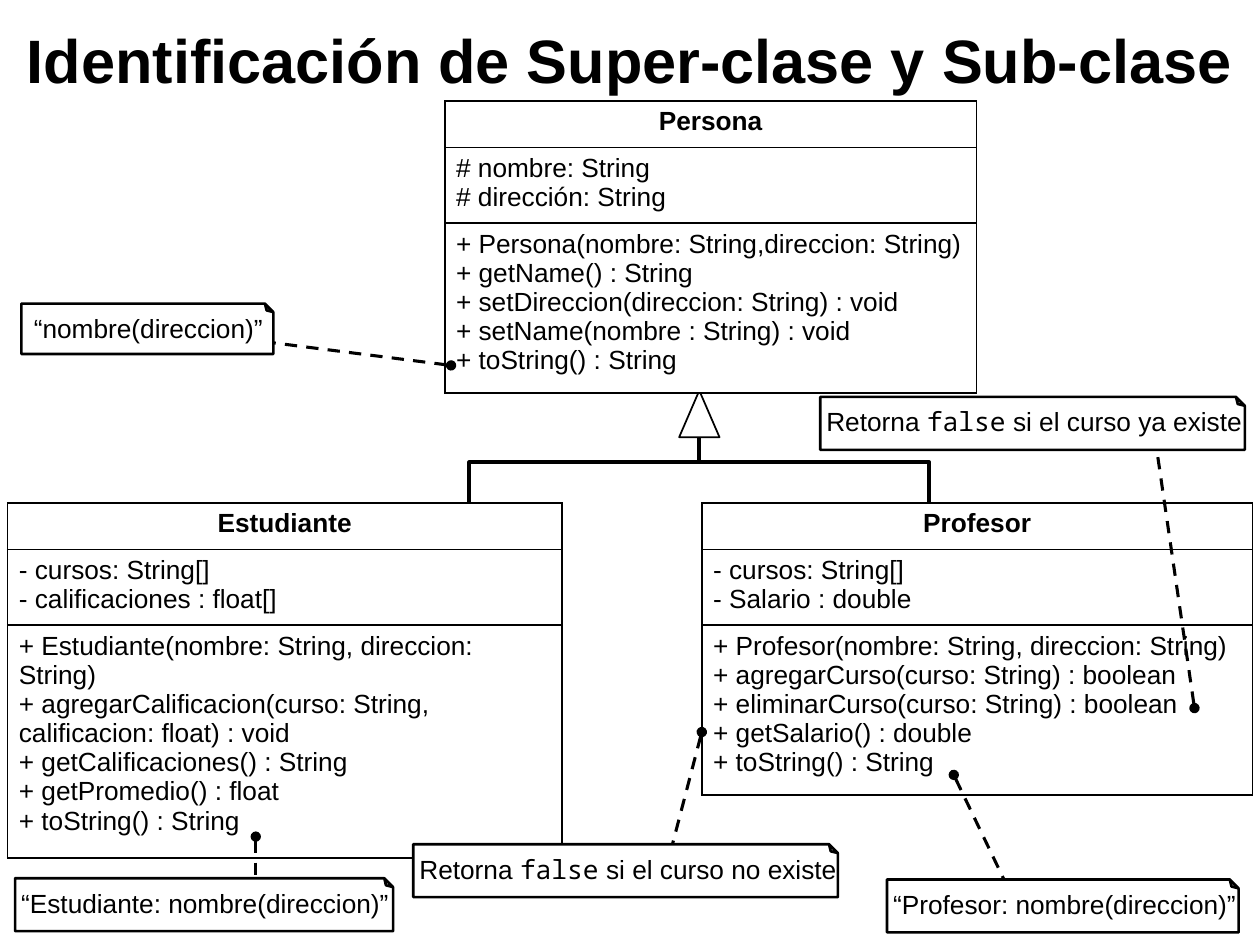
from lxml import etree
from pptx import Presentation
from pptx import util as u
from pptx.dml import color
from pptx.enum import dml, shapes, text
from pptx.oxml import ns

COLORS = {"ink": "000000", "paper": "FFFFFF"}
SANS, MONO = "Arial", "Noto Sans Mono"
NAME_HEIGHT, FIELDS_HEIGHT = 0.37, 0.57


def rgb(name):
    return color.RGBColor.from_string(COLORS[name])


def inches(*values):
    return [u.Inches(value) for value in values]


def add_para(frame, spans, first, size=15, bold=False, align=text.PP_ALIGN.LEFT, spacing=None):
    para = frame.paragraphs[0] if first else frame.add_paragraph()
    para.alignment = align
    if spacing:
        para.line_spacing = spacing
    for words, face in spans:
        span = para.add_run()
        span.text = words
        span.font.name = face
        span.font.size = u.Pt(size)
        span.font.bold = bold
        span.font.color.rgb = rgb("ink")


def add_label(page, box, spans, anchor=text.MSO_ANCHOR.TOP, **style):
    label = page.shapes.add_textbox(*inches(*box))
    frame = label.text_frame
    frame.word_wrap = True
    frame.vertical_anchor = anchor
    add_para(frame, spans, True, **style)


def style_line(line, width):
    line.color.rgb = rgb("ink")
    line.width = u.Pt(width)


def add_outline(page, kind, box, width):
    shape = page.shapes.add_shape(kind, *inches(*box))
    shape.shadow.inherit = False
    shape.fill.solid()
    shape.fill.fore_color.rgb = rgb("paper")
    style_line(shape.line, width)
    return shape


def add_link(page, start, end, kind=shapes.MSO_CONNECTOR.STRAIGHT, width=2.25):
    link = page.shapes.add_connector(kind, *inches(*start, *end))
    style_line(link.line, width)
    etree.SubElement(link._element.spPr, ns.qn("a:effectLst"))
    return link


def add_note_link(page, start, end):
    link = add_link(page, start, end, width=1.75)
    link.line.dash_style = dml.MSO_LINE.DASH
    etree.SubElement(link.line._get_or_add_ln(), ns.qn("a:headEnd"), type="oval")


def add_borders(cell):
    props = cell._tc.get_or_add_tcPr()
    for side in ("lnL", "lnR", "lnT", "lnB"):
        border = etree.SubElement(props, ns.qn(f"a:{side}"), w=str(u.Pt(1)))
        fill = etree.SubElement(border, ns.qn("a:solidFill"))
        etree.SubElement(fill, ns.qn("a:srgbClr"), val=COLORS["ink"])


def add_class(page, box, name, fields, methods):
    table = page.shapes.add_table(3, 1, *inches(*box)).table
    table.first_row = False
    table.horz_banding = False
    heights = (NAME_HEIGHT, FIELDS_HEIGHT, box[3] - NAME_HEIGHT - FIELDS_HEIGHT)
    for index, lines in enumerate(([name], fields, methods)):
        table.rows[index].height = u.Inches(heights[index])
        cell = table.cell(index, 0)
        cell.margin_left = cell.margin_right = u.Inches(0.09)
        cell.margin_top = cell.margin_bottom = u.Inches(0.05)
        add_borders(cell)
        cell.fill.solid()
        cell.fill.fore_color.rgb = rgb("paper")
        heading = index == 0
        align = text.PP_ALIGN.CENTER if heading else text.PP_ALIGN.LEFT
        for number, line in enumerate(lines):
            add_para(cell.text_frame, [(line, SANS)], number == 0, bold=heading, align=align)


def add_note(page, box, spans, shift=-0.05):
    left, top, width, height = box
    note = add_outline(page, shapes.MSO_SHAPE.FOLDED_CORNER, box, 1.5)
    note.rotation = 180
    note._element.spPr.xfrm.set("flipH", "1")
    add_label(page, (left + shift, top + 0.02, width + 0.3, 0.35), spans)


def add_inheritance(page, box):
    left, top, width, height = box
    center, joint = left + width / 2, top + 0.57
    bottom = top + height
    add_outline(page, shapes.MSO_SHAPE.ISOSCELES_TRIANGLE, (center - 0.16, top, 0.32, 0.37), 1)
    add_link(page, (center, top + 0.37), (center, joint))
    for side in (left, left + width):
        add_link(page, (center, joint), (side, bottom), shapes.MSO_CONNECTOR.ELBOW)


def returns(value, ending):
    return [("Retorna ", SANS), (value, MONO), (" " + ending, SANS)]


def main():
    deck = Presentation()
    deck.slide_width, deck.slide_height = inches(10, 7.5)
    page = deck.slides.add_slide(deck.slide_layouts[6])

    add_label(page, (0, 0, 10, 1.01), [("Identificación de Super-clase y Sub-clase", SANS)],
              anchor=text.MSO_ANCHOR.MIDDLE, size=35, bold=True,
              align=text.PP_ALIGN.CENTER, spacing=0.9)

    add_inheritance(page, (1.9, 3.1, 7.3, 1.11))

    add_class(page, (3.53, 0.8, 4.22, 2.19), "Persona",
              ["# nombre: String", "# dirección: String"],
              ["+ Persona(nombre: String,direccion: String)",
               "+ getName() : String",
               "+ setDireccion(direccion: String) : void",
               "+ setName(nombre : String) : void",
               "+ toString() : String"])
    add_class(page, (5.57, 3.99, 4.37, 2.19), "Profesor",
              ["- cursos: String[]", "- Salario : double"],
              ["+ Profesor(nombre: String, direccion: String)",
               "+ agregarCurso(curso: String) : boolean",
               "+ eliminarCurso(curso: String) : boolean",
               "+ getSalario() : double",
               "+ toString() : String"])
    add_class(page, (0.06, 3.99, 4.4, 2.65), "Estudiante",
              ["- cursos: String[]", "- calificaciones : float[]"],
              ["+ Estudiante(nombre: String, direccion: String)",
               "+ agregarCalificacion(curso: String, calificacion: float) : void",
               "+ getCalificaciones() : String",
               "+ getPromedio() : float",
               "+ toString() : String"])

    for start, end in (((3.58, 2.9), (2.16, 2.72)),
                       ((7.57, 6.15), (8.04, 7.13)),
                       ((2.03, 6.64), (2.03, 7.12)),
                       ((5.57, 5.81), (5.28, 6.92)),
                       ((9.48, 5.62), (9.15, 3.36))):
        add_note_link(page, start, end)

    add_note(page, (0.17, 2.41, 2, 0.4), [("“nombre(direccion)”", SANS)], shift=0)
    add_note(page, (7.04, 6.98, 2.79, 0.42), [("“Profesor: nombre(direccion)”", SANS)])
    add_note(page, (0.12, 6.97, 3, 0.42), [("“Estudiante: nombre(direccion)”", SANS)])
    add_note(page, (3.28, 6.7, 3.37, 0.42), returns("false", "si el curso no existe"))
    add_note(page, (6.51, 3.15, 3.37, 0.42), returns("false", "si el curso ya existe"))

    deck.save("out.pptx")


if __name__ == "__main__":
    main()
